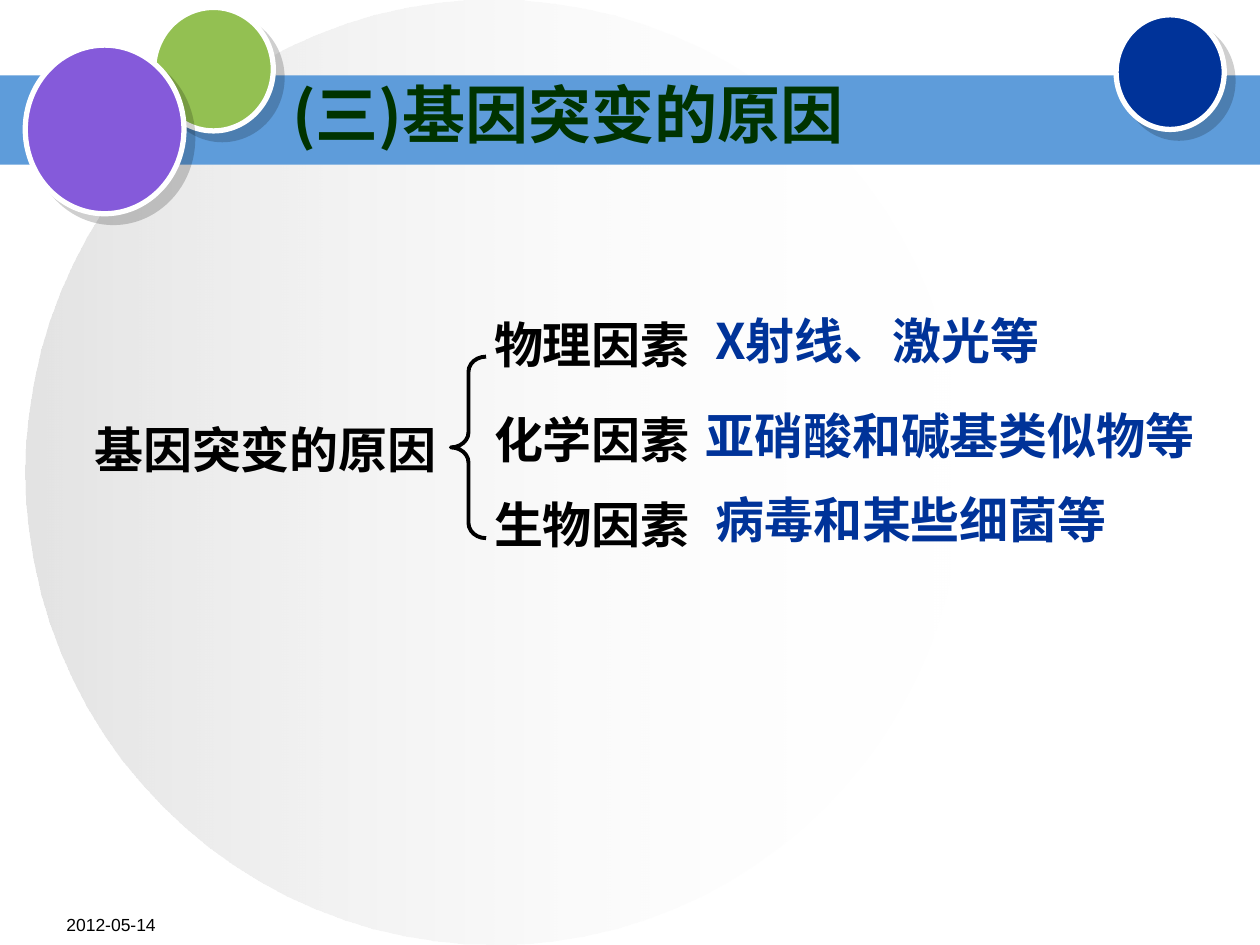
from lxml.etree import SubElement
from pptx import Presentation
from pptx.dml.color import RGBColor
from pptx.enum.shapes import MSO_SHAPE as Shape
from pptx.enum.text import MSO_ANCHOR as Anchor, MSO_AUTO_SIZE as AutoSize, PP_ALIGN as Align
from pptx.oxml.ns import qn
from pptx.util import Cm, Pt

TITLE = "(三)基因突变的原因"
ROOT = "基因突变的原因"
DATE = "2012-05-14"
FACTORS = [
    ("物理因素", 6.35, 4.24, "X射线、激光等", 14.17, 9.73),
    ("化学因素", 8.26, 6.53, "亚硝酸和碱基类似物等", 13.97, 11.43),
    ("生物因素", 9.96, 5.72, "病毒和某些细菌等", 14.17, 9.53),
]
CIRCLES = [
    ("93C052", (3.1, 0.15, 2.41, 2.49)),
    ("003399", (22.5, 0.3, 2.18, 2.31)),
    ("855ADA", (0.51, 0.91, 3.2, 3.4)),
]
CJK = "Noto Sans CJK SC"
BLACK, BLUE, GREEN, WHITE = "000000", "003399", "003300", "FFFFFF"


def color(value):
    """Return the colour for a hex string."""
    return RGBColor.from_string(value)


def add_figure(slide, kind, box, fill=None, line=None, width=0):
    """Add a preset shape without shadow."""
    shape = slide.shapes.add_shape(kind, *map(Cm, box))
    shape.shadow.inherit = False
    if fill:
        shape.fill.solid()
        shape.fill.fore_color.rgb = color(fill)
    else:
        shape.fill.background()
    if line:
        shape.line.color.rgb = color(line)
        shape.line.width = Pt(width)
    else:
        shape.line.fill.background()
    return shape


def add_globe(slide):
    """Add the large circle that fades out to the right."""
    shape = add_figure(slide, Shape.OVAL, (0.51, 0, 18.9, 19.05))
    shape.fill.gradient()
    shape.fill.gradient_angle = 0
    for stop, value, alpha in zip(shape.fill.gradient_stops, ("C0C0C0", WHITE), (44, 0)):
        stop.color.rgb = color(value)
        stop_color = next(e for e in shape._element.iter(qn("a:srgbClr")) if not len(e))
        SubElement(stop_color, qn("a:alpha"), val=str(alpha * 1000))


def drop_shadow(shape):
    """Give a shape a hard shadow to the lower right."""
    effects = shape._element.spPr.find(qn("a:effectLst"))
    shadow = SubElement(effects, qn("a:outerShdw"), dist=str(Pt(7.1)), dir="2700000",
                        algn="ctr", rotWithShape="0")
    shadow_color = SubElement(shadow, qn("a:srgbClr"), val=BLACK)
    SubElement(shadow_color, qn("a:alpha"), val="19000")


def write(shape, text, size, fill, font=CJK, bold=True, inset=False):
    """Put one left-aligned line of text in a shape."""
    frame = shape.text_frame
    frame.word_wrap = True
    frame.auto_size = AutoSize.SHAPE_TO_FIT_TEXT if bold else AutoSize.NONE
    frame.vertical_anchor = Anchor.TOP
    if not inset:
        frame.margin_left = frame.margin_right = frame.margin_top = frame.margin_bottom = 0
    frame.text = text
    paragraph = frame.paragraphs[0]
    paragraph.alignment = Align.LEFT
    paragraph.font.size = Pt(size)
    paragraph.font.bold = bold
    paragraph.font.name = font
    paragraph.font.color.rgb = color(fill)
    run_font = paragraph.runs[0]._r.get_or_add_rPr()
    SubElement(run_font, qn("a:ea"), typeface=font)


def add_label(slide, box, *args, **kwargs):
    """Add a text box with one line."""
    write(slide.shapes.add_textbox(*map(Cm, box)), *args, **kwargs)


def main():
    """Build the slide and save it."""
    presentation = Presentation()
    presentation.slide_width, presentation.slide_height = Cm(25.4), Cm(19.05)
    slide = presentation.slides.add_slide(presentation.slide_layouts[5])

    add_globe(slide)
    add_figure(slide, Shape.RECTANGLE, (0, 1.52, 25.4, 1.8), "5E9CDA")
    for fill, box in CIRCLES:
        drop_shadow(add_figure(slide, Shape.OVAL, box, fill, WHITE, 3))
    add_label(slide, (1.09, 18.31, 5.28, 0.74), DATE, 10, BLACK, "Arial", False, True)

    title = slide.shapes.title
    title.left, title.top, title.width, title.height = map(Cm, (5.89, 1.52, 13.59, 1.52))
    write(title, TITLE, 36, GREEN)
    slide.shapes._spTree.append(title._element)

    add_label(slide, (1.9, 8.46, 7.62, 1.19), ROOT, 28, BLACK)
    brace = add_figure(slide, Shape.LEFT_BRACE, (9.09, 7.19, 0.71, 3.66), None, BLACK, 2.25)
    brace.adjustments[0], brace.adjustments[1] = 0.43, 0.5
    for factor, top, width, example, example_left, example_width in FACTORS:
        add_label(slide, (9.96, top, width, 1.19), factor, 28, BLACK)
        add_label(slide, (example_left, top - 0.21, example_width, 1.45), example, 28, BLUE,
                  inset=True)

    presentation.save("out.pptx")


if __name__ == "__main__":
    main()
